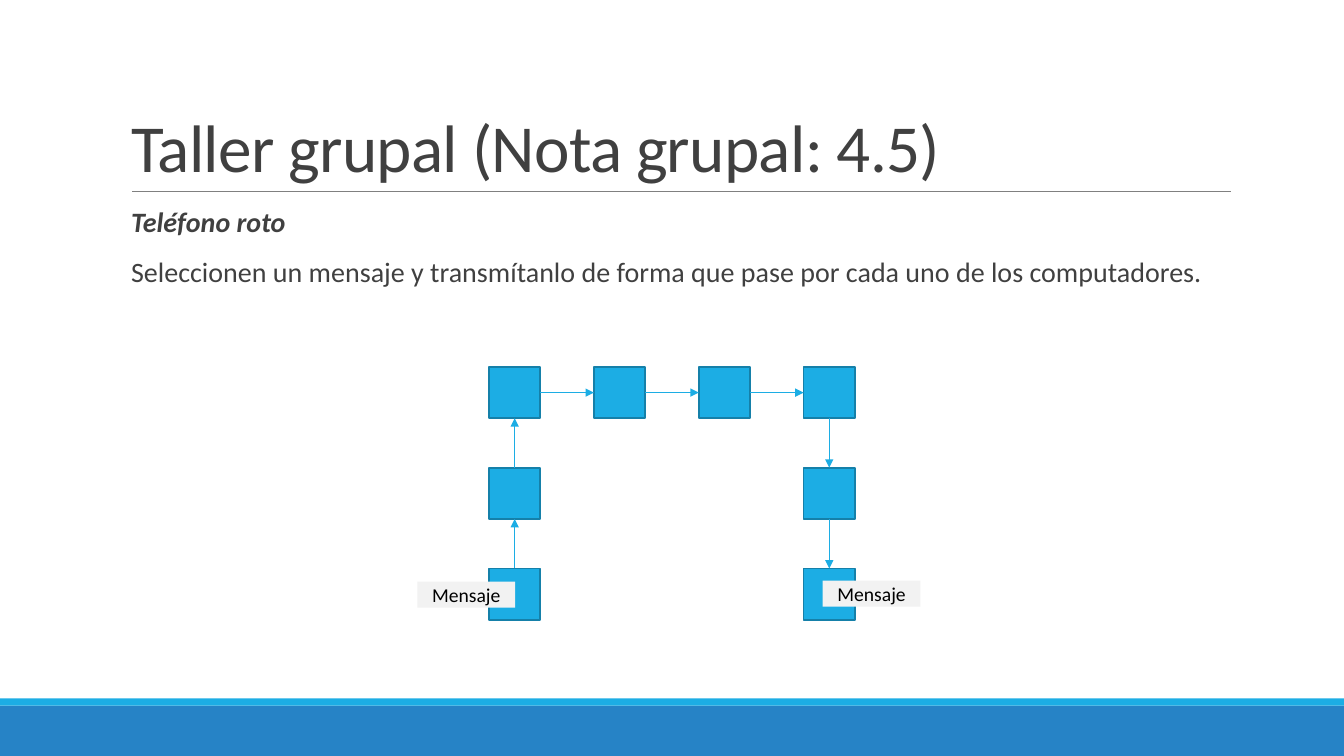
from itertools import pairwise

from lxml import etree
from pptx import Presentation
from pptx import util as u
from pptx.dml.color import RGBColor
from pptx.enum import shapes, text
from pptx.oxml.ns import qn

FONT = "Calibri"
BLUE = RGBColor(0x26, 0x83, 0xC6)
CYAN = RGBColor(0x1C, 0xAD, 0xE4)
DARK_CYAN = RGBColor(0x15, 0x80, 0xA9)
GRAY = RGBColor(0x80, 0x80, 0x80)
LIGHT_GRAY = RGBColor(0xF2, 0xF2, 0xF2)
TEXT_GRAY = RGBColor(0x40, 0x40, 0x40)
BLACK = RGBColor(0, 0, 0)

SIDE = 0.51
LEFT, TOP = 4.85, 3.64
STEP_X, STEP_Y = 1.04, 1
# Route of the message through the computers, as (column, row)
ROUTE = [(0, 2), (0, 1), (0, 0), (1, 0), (2, 0), (3, 0), (3, 1), (3, 2)]
# Connection sites of a rectangle for each direction: (leaving, entering)
SITES = {(0, -1): (0, 2), (1, 0): (3, 1), (0, 1): (2, 0)}


def place(item, left, top, width, height):
    item.left, item.top = u.Inches(left), u.Inches(top)
    item.width, item.height = u.Inches(width), u.Inches(height)


def add_span(para, words, size, color, bold=False, italic=False):
    span = para.add_run()
    span.text = words
    font = span.font
    font.name, font.size = FONT, u.Pt(size)
    font.bold, font.italic = bold, italic
    font.color.rgb = color
    return span


def add_box(page, left, top, width, height, fill, line=None):
    box = page.shapes.add_shape(
        shapes.MSO_SHAPE.RECTANGLE, u.Inches(left), u.Inches(top),
        u.Inches(width), u.Inches(height))
    box.shadow.inherit = False
    box.fill.solid()
    box.fill.fore_color.rgb = fill
    if line is None:
        box.line.fill.background()
    else:
        box.line.color.rgb = line
        box.line.width = u.Pt(1.25)
    return box


def add_line(page, start, end, color, width):
    line = page.shapes.add_connector(
        shapes.MSO_CONNECTOR.STRAIGHT, *(u.Inches(v) for v in (*start, *end)))
    line.line.color.rgb = color
    line.line.width = u.Pt(width)
    etree.SubElement(line._element.spPr, qn("a:effectLst"))
    return line


def add_arrow(page, source, target, direction):
    arrow = add_line(page, (0, 0), (0, 0), CYAN, 1)
    leaving, entering = SITES[direction]
    arrow.begin_connect(source, leaving)
    arrow.end_connect(target, entering)
    etree.SubElement(arrow.line._get_or_add_ln(), qn("a:tailEnd"), type="triangle")


def add_message(page, left, top):
    box = add_box(page, left, top, 0.97, 0.26, LIGHT_GRAY)
    box.text_frame.vertical_anchor = text.MSO_ANCHOR.MIDDLE
    para = box.text_frame.paragraphs[0]
    para.alignment = text.PP_ALIGN.CENTER
    add_span(para, "Mensaje", 14, BLACK)


def fill_title(title, words):
    place(title, 1.2, 0.31, 11, 1.59)
    frame = title.text_frame
    frame.auto_size = text.MSO_AUTO_SIZE.NONE
    frame.vertical_anchor = text.MSO_ANCHOR.BOTTOM
    para = frame.paragraphs[0]
    para.alignment = text.PP_ALIGN.LEFT
    para.line_spacing = 0.85
    span = add_span(para, words, 48, TEXT_GRAY)
    span.font._element.set("spc", "-50")


def format_body_para(para):
    para.line_spacing = 0.9
    para.space_before, para.space_after = u.Pt(12), u.Pt(2)
    props = para._p.get_or_add_pPr()
    props.set("marL", str(u.Inches(0.1)))
    props.set("indent", str(u.Inches(-0.1)))
    bullet_color = etree.SubElement(props, qn("a:buClr"))
    etree.SubElement(bullet_color, qn("a:srgbClr"), val=str(CYAN))
    etree.SubElement(props, qn("a:buChar"), char=" ")


def fill_body(body, lines):
    place(body, 1.2, 2.02, 11, 4.4)
    frame = body.text_frame
    frame.auto_size = text.MSO_AUTO_SIZE.NONE
    frame.margin_left = frame.margin_right = 0
    for index, (words, strong) in enumerate(lines):
        para = frame.add_paragraph() if index else frame.paragraphs[0]
        format_body_para(para)
        add_span(para, words, 20, TEXT_GRAY, bold=strong, italic=strong)


def main():
    deck = Presentation()
    deck.slide_width, deck.slide_height = u.Inches(13.33), u.Inches(7.5)
    page = deck.slides.add_slide(deck.slide_layouts[1])

    # Footer bands and title rule
    add_box(page, 0, 7, 13.33, 0.5, BLUE)
    add_box(page, 0, 6.93, 13.33, 0.07, CYAN)
    add_line(page, (1.31, 1.9), (12.21, 1.9), GRAY, 0.5)

    # Title and instructions
    fill_title(page.shapes.title, "Taller grupal (Nota grupal: 4.5)")
    fill_body(page.placeholders[1], [
        ("Teléfono roto", True),
        ("Seleccionen un mensaje y transmítanlo de forma que pase por "
         "cada uno de los computadores.", False),
    ])

    # Computers
    computers = {
        (column, row): add_box(page, LEFT + column * STEP_X, TOP + row * STEP_Y,
                               SIDE, SIDE, CYAN, DARK_CYAN)
        for column, row in ROUTE
    }

    # Message at both ends of the route
    add_message(page, 4.14, 5.77)
    add_message(page, 8.16, 5.76)

    # Arrows along the route
    for here, there in pairwise(ROUTE):
        direction = (there[0] - here[0], there[1] - here[1])
        add_arrow(page, computers[here], computers[there], direction)

    deck.save("out.pptx")


main()
